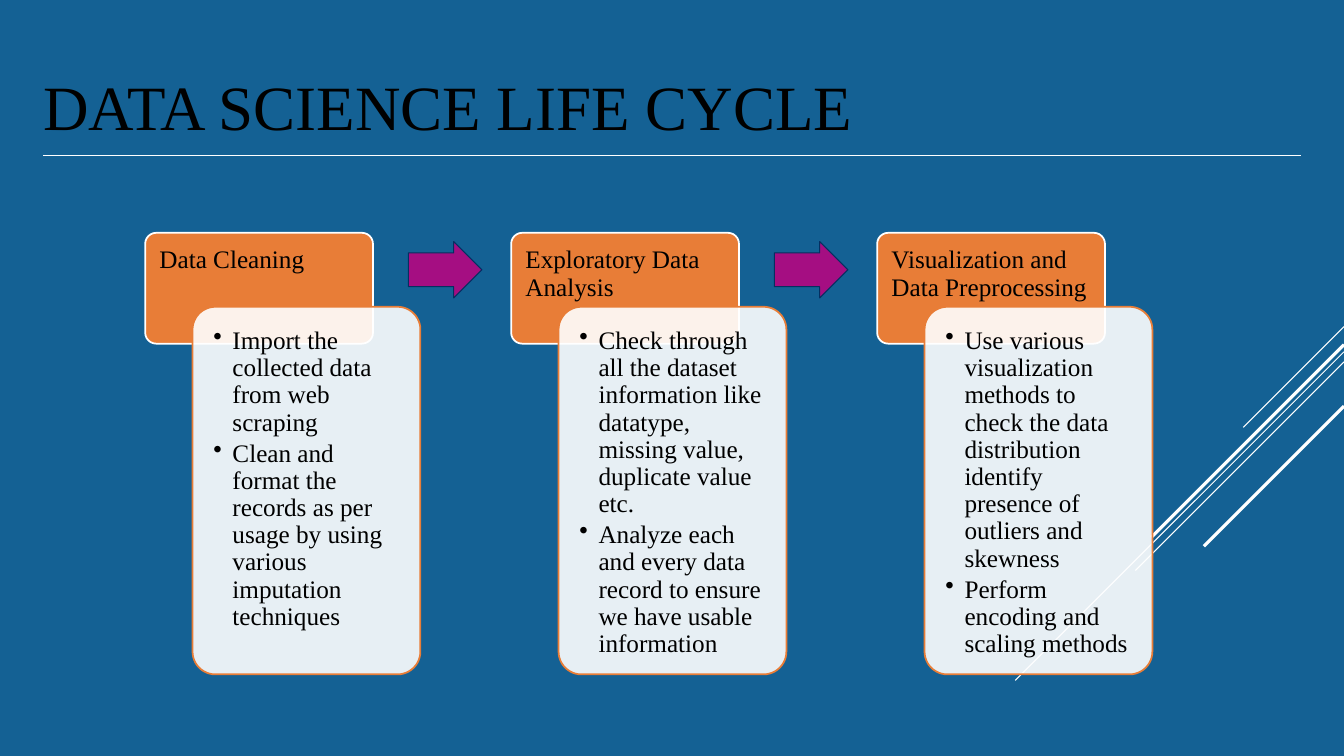
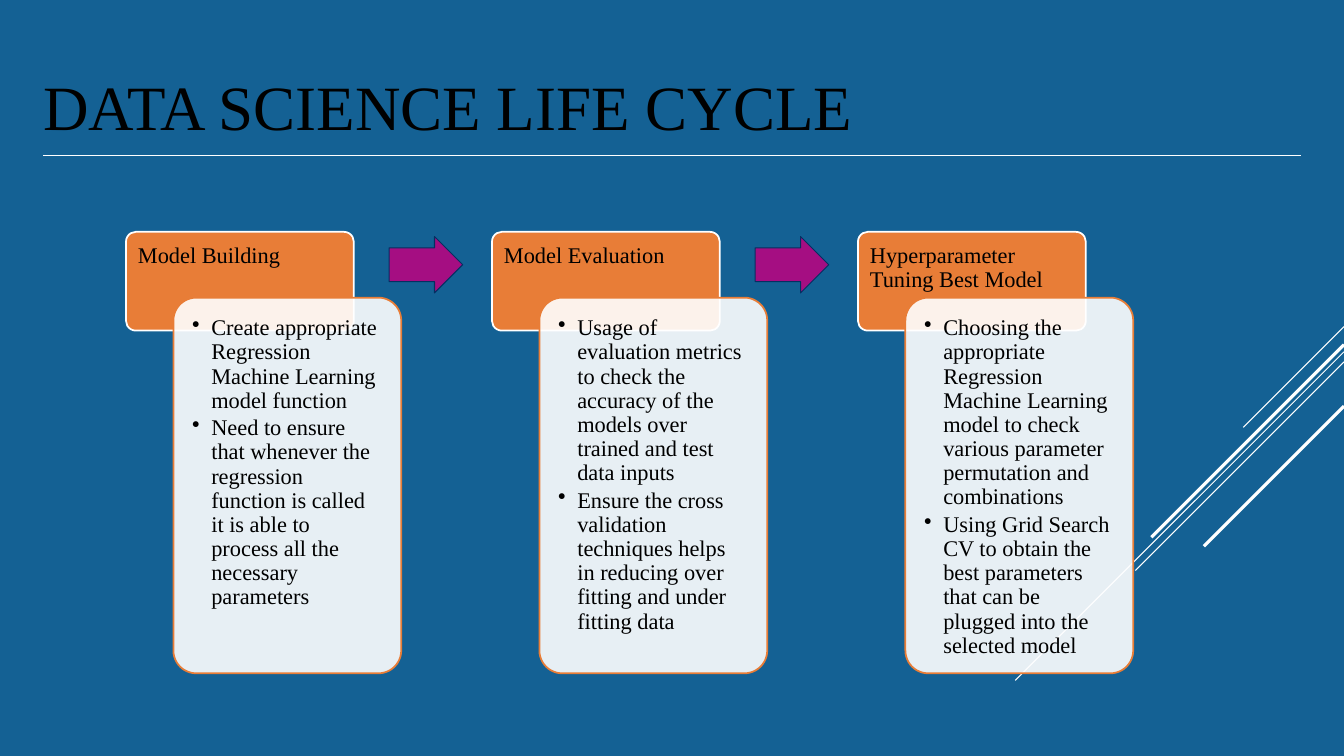
from lxml.etree import SubElement
from pptx import Presentation
from pptx.dml.color import RGBColor
from pptx.enum.shapes import MSO_CONNECTOR, MSO_SHAPE
from pptx.enum.text import MSO_ANCHOR, MSO_AUTO_SIZE, PP_ALIGN
from pptx.oxml.ns import qn
from pptx.util import Emu, Inches, Pt

# Shared style
WIDE, HIGH = 13.33, 7.5
EDGE = 0.43
FONT = "Times New Roman"
BLUE, WHITE, BLACK = "146194", "FFFFFF", "000000"
ORANGE, PURPLE, NAVY = "E87D37", "A50E82", "052F61"

# Diagonals from the right edge: start height, run, line width
RAYS = [(3.24, 1, 0.75), (3.49, 3.26, 0.75), (3.59, 2.07, 0.75),
        (3.42, 1.91, 2.25), (4.03, 1.39, 2.25)]

# Card grid
STEP, CARD = 3.63, 2.26
SHIFT = 0.47
ROUND = 0.1
ARROW_W, ARROW_H, ARROW_X = 0.73, 0.56, 2.61

TITLE = "DATA SCIENCE LIFE CYCLE"
CLEAN = [
    ("Data Cleaning",
     ["Import the collected data from web scraping",
      "Clean and format the records as per usage by using various "
      "imputation techniques"]),
    ("Exploratory Data Analysis",
     ["Check through all the dataset information like datatype, missing "
      "value, duplicate value etc.",
      "Analyze each and every data record to ensure we have usable "
      "information"]),
    ("Visualization and Data Preprocessing",
     ["Use various visualization methods to check the data distribution "
      "identify presence of outliers and skewness",
      "Perform encoding and scaling methods"]),
]
MODEL = [
    ("Model Building",
     ["Create appropriate Regression Machine Learning model function",
      "Need to ensure that whenever the regression function is called it "
      "is able to process all the necessary parameters"]),
    ("Model Evaluation",
     ["Usage of evaluation metrics to check the accuracy of the models "
      "over trained and test data inputs",
      "Ensure the cross validation techniques helps in reducing over "
      "fitting and under fitting data"]),
    ("Hyperparameter Tuning Best Model",
     ["Choosing the appropriate Regression Machine Learning model to check "
      "various parameter permutation and combinations",
      "Using Grid Search CV to obtain the best parameters that can be "
      "plugged into the selected model"]),
]


def color(code):
    return RGBColor.from_string(code)


def style(para, size):
    for run in para.runs:
        run.font.size = Pt(size)
        run.font.name = FONT
        run.font.color.rgb = color(BLACK)


def line(slide, x1, y1, x2, y2, width):
    ends = [Inches(n) for n in (x1, y1, x2, y2)]
    rule = slide.shapes.add_connector(MSO_CONNECTOR.STRAIGHT, *ends)
    rule.line.color.rgb = color(WHITE)
    rule.line.width = Pt(width)
    SubElement(rule._element.spPr, qn("a:effectLst"))


def shape(slide, kind, box, fill, edge, width, adjust):
    item = slide.shapes.add_shape(kind, *[Inches(n) for n in box])
    item.shadow.inherit = False
    item.fill.solid()
    item.fill.fore_color.rgb = color(fill)
    item.line.color.rgb = color(edge)
    item.line.width = Pt(width)
    for i, value in enumerate(adjust):
        item.adjustments[i] = value
    return item


def fade(item, share):
    """Set the opacity of a solid fill."""
    tint = item.fill._xPr.find(qn("a:solidFill"))[0]
    SubElement(tint, qn("a:alpha"), val=str(share * 1000))


def bullet(para):
    props = para._p.get_or_add_pPr()
    props.set("marL", str(Inches(0.19)))
    props.set("indent", str(-Inches(0.19)))
    SubElement(props, qn("a:buChar"), char="•")


def write(item, texts, size, inset, dots=False):
    frame = item.text_frame
    frame.word_wrap = True
    frame.vertical_anchor = MSO_ANCHOR.TOP
    frame.margin_left = frame.margin_right = Inches(inset)
    frame.margin_top = frame.margin_bottom = Inches(inset)
    frame.text = "\n".join(texts)
    for para in frame.paragraphs:
        para.alignment = PP_ALIGN.LEFT
        para.line_spacing = 0.9
        para.space_after = Pt(0.15 * size)
        style(para, size)
        if dots:
            bullet(para)


def title(slide):
    head = slide.shapes.title
    head.left, head.top = Inches(EDGE), Inches(0.37)
    head.width, head.height = Inches(WIDE - 2 * EDGE), Inches(1.1)
    frame = head.text_frame
    frame.text = TITLE
    frame.auto_size = MSO_AUTO_SIZE.NONE
    frame.word_wrap = True
    frame.vertical_anchor = MSO_ANCHOR.BOTTOM
    frame.margin_left = frame.margin_right = Emu(0)
    frame.margin_top = frame.margin_bottom = Inches(0.05)
    frame.paragraphs[0].alignment = PP_ALIGN.LEFT
    style(frame.paragraphs[0], 45)


def base(deck):
    """Add a slide with the title, its rule and the diagonals."""
    slide = deck.slides.add_slide(deck.slide_layouts[5])
    for y, run, width in RAYS:
        line(slide, WIDE, y, WIDE - run, y + run, width)
    line(slide, EDGE, 1.47, EDGE, 1.47, 1)
    line(slide, EDGE, 1.54, WIDE - EDGE, 1.54, 1)
    title(slide)
    return slide


def stage(slide, x, y, tall, foot, size, inset, name, notes):
    """Draw a tab with a card over its lower third."""
    tab = shape(slide, MSO_SHAPE.ROUNDED_RECTANGLE, (x, y, CARD, tall),
                ORANGE, WHITE, 1.25, [ROUND])
    write(tab, [name], size, inset - 0.03)
    top = y + tall * 2 / 3
    card = shape(slide, MSO_SHAPE.ROUNDED_RECTANGLE,
                 (x + SHIFT, top, CARD, foot - top),
                 WHITE, ORANGE, 1.25, [ROUND])
    fade(card, 90)
    write(card, notes, size, inset, dots=True)


def flow(slide, stages, left, top, tall, foot, size, inset):
    """Lay the stages out in equal columns with arrows between."""
    for i, (name, notes) in enumerate(stages):
        x = left + i * STEP
        stage(slide, x, top, tall, foot, size, inset, name, notes)
        if i < len(stages) - 1:
            y = top + tall / 3 - ARROW_H / 2
            shape(slide, MSO_SHAPE.RIGHT_ARROW,
                  (x + ARROW_X, y, ARROW_W, ARROW_H),
                  PURPLE, NAVY, 0.75, [0.6, 0.5])


def main():
    deck = Presentation()
    deck.slide_width, deck.slide_height = Inches(WIDE), Inches(HIGH)
    back = deck.slide_master.background.fill
    back.solid()
    back.fore_color.rgb = color(BLUE)

    flow(base(deck), CLEAN, left=1.44, top=2.31, tall=1.1, foot=6.69,
         size=18, inset=0.14)
    flow(base(deck), MODEL, left=1.25, top=2.3, tall=0.98, foot=6.68,
         size=16, inset=0.12)
    deck.save("out.pptx")


if __name__ == "__main__":
    main()
